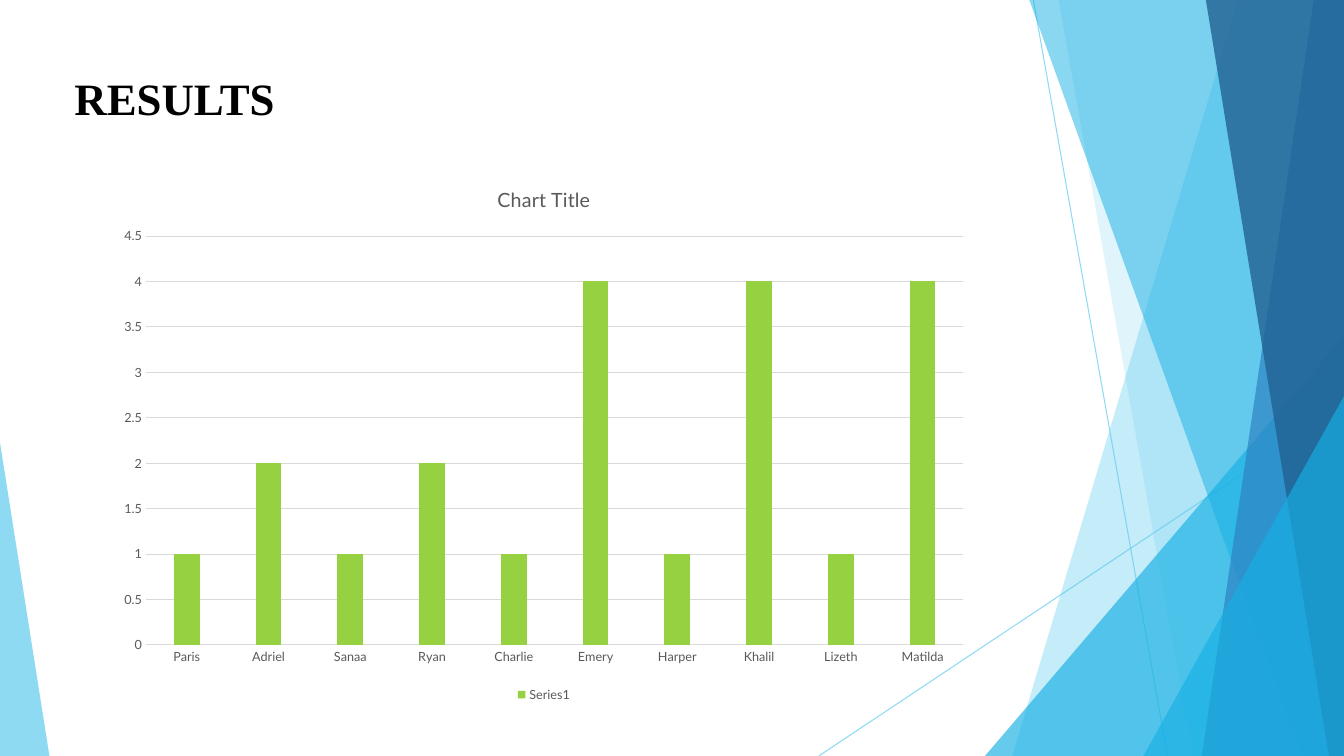
from dataclasses import dataclass

from lxml.etree import SubElement
from pptx import Presentation
from pptx.chart.data import CategoryChartData
from pptx.dml.color import RGBColor
from pptx.enum.chart import XL_CHART_TYPE, XL_LEGEND_POSITION, XL_TICK_MARK
from pptx.enum.shapes import MSO_CONNECTOR, MSO_SHAPE
from pptx.enum.text import MSO_AUTO_SIZE
from pptx.oxml.ns import qn
from pptx.util import Inches, Pt


@dataclass(frozen=True)
class Theme:
    """Colours, fonts and type sizes of the slide."""

    sky: str = "5FCBEF"
    azure: str = "17B0E4"
    blue: str = "2E83C3"
    navy: str = "226292"
    green: str = "96D141"
    ink: str = "000000"
    label: str = "595959"
    rule: str = "D9D9D9"
    heading_font: str = "Times New Roman"
    chart_font: str = "Lato"
    heading_size: int = 32
    chart_title_size: int = 14
    chart_size: int = 10
    label_size: int = 9
    line_width: float = 0.75


def apply_format(target, values):
    """Set each named attribute of the target."""
    for name, value in values.items():
        setattr(target, name, value)


class SlideBuilder:
    """Draws elements on a slide, with lengths in percent of its size."""

    def __init__(self, presentation, theme):
        """Add a blank slide to the presentation."""
        self.theme = theme
        self.width = presentation.slide_width
        self.height = presentation.slide_height
        self.slide = presentation.slides.add_slide(presentation.slide_layouts[6])
        self.shapes = self.slide.shapes

    def place(self, *shares):
        """Turn alternating horizontal and vertical shares into lengths."""
        sides = (self.width, self.height) * (len(shares) // 2)
        return [round(side * share / 100) for side, share in zip(sides, shares)]

    def style_font(self, font, size, color, name, bold=False):
        """Format a font."""
        apply_format(font, {"size": Pt(size), "name": name, "bold": bold})
        font.color.rgb = RGBColor.from_string(color)

    def style_line(self, line, color):
        """Format a thin line."""
        line.color.rgb = RGBColor.from_string(color)
        line.width = Pt(self.theme.line_width)

    def set_opacity(self, shape, opacity):
        """Make the coloured part of a shape see-through."""
        color = shape._element.spPr.find(".//" + qn("a:srgbClr"))
        SubElement(color, qn("a:alpha"), val=str(opacity * 1000))

    def fill_shape(self, shape, color, opacity):
        """Give a shape a flat translucent fill."""
        shape.shadow.inherit = False
        shape.fill.solid()
        shape.fill.fore_color.rgb = RGBColor.from_string(color)
        shape.line.fill.background()
        self.set_opacity(shape, opacity)

    def ray(self, *ends):
        """Draw a thin translucent line."""
        connector = self.shapes.add_connector(MSO_CONNECTOR.STRAIGHT, *self.place(*ends))
        self.style_line(connector.line, self.theme.sky)
        self.set_opacity(connector, 70)
        SubElement(connector._element.spPr, qn("a:effectLst"))

    def band(self, top, bottom, color, opacity):
        """Fill from a slanted edge to the right side of the slide."""
        corners = [(top, 0), (100, 0), (100, 100), (bottom, 100)]
        start, *others = [self.place(*corner) for corner in corners]
        builder = self.shapes.build_freeform(*start)
        builder.add_line_segments(others, close=True)
        self.fill_shape(builder.convert_to_shape(), color, opacity)

    def triangle(self, left, top, width, apex, color, opacity):
        """Draw a triangle standing on the bottom edge."""
        box = self.place(left, top, width, 100 - top)
        shape = self.shapes.add_shape(MSO_SHAPE.ISOSCELES_TRIANGLE, *box)
        shape.adjustments[0] = apex
        self.fill_shape(shape, color, opacity)

    def heading(self, text, *box):
        """Write the slide heading."""
        theme = self.theme
        frame = self.shapes.add_textbox(*self.place(*box)).text_frame
        apply_format(frame, {"word_wrap": True, "auto_size": MSO_AUTO_SIZE.SHAPE_TO_FIT_TEXT})
        run = frame.paragraphs[0].add_run()
        run.text = text
        self.style_font(run.font, theme.heading_size, theme.ink, theme.heading_font, True)

    def column_chart(self, title, series_name, scores, *box):
        """Draw a column chart of one series."""
        theme = self.theme
        data = CategoryChartData()
        data.categories = list(scores)
        data.add_series(series_name, list(scores.values()))
        frame = self.shapes.add_chart(XL_CHART_TYPE.COLUMN_CLUSTERED, *self.place(*box), data)
        chart = frame.chart
        self.style_font(chart.font, theme.chart_size, theme.ink, theme.chart_font)

        chart.has_title = True
        title_frame = chart.chart_title.text_frame
        title_frame.text = title
        title_font = title_frame.paragraphs[0].runs[0].font
        self.style_font(title_font, theme.chart_title_size, theme.label, theme.chart_font)

        chart.has_legend = True
        legend_format = {"position": XL_LEGEND_POSITION.BOTTOM, "include_in_layout": False}
        apply_format(chart.legend, legend_format)

        category_axis, value_axis = chart.category_axis, chart.value_axis
        tick_format = {"major_tick_mark": XL_TICK_MARK.NONE, "minor_tick_mark": XL_TICK_MARK.NONE}
        for axis in (category_axis, value_axis):
            apply_format(axis, tick_format)
        for font in (category_axis.tick_labels.font, value_axis.tick_labels.font, chart.legend.font):
            self.style_font(font, theme.label_size, theme.label, theme.chart_font)
        apply_format(value_axis, {"minimum_scale": 0, "maximum_scale": 4.5, "major_unit": 0.5})
        self.style_line(category_axis.format.line, theme.rule)
        self.style_line(value_axis.major_gridlines.format.line, theme.rule)
        value_axis.format.line.fill.background()

        plot = chart.plots[0]
        apply_format(plot, {"gap_width": 219, "overlap": -27, "vary_by_categories": False})
        fill = plot.series[0].format.fill
        fill.solid()
        fill.fore_color.rgb = RGBColor.from_string(theme.green)


def main():
    """Build and save the results slide."""
    presentation = Presentation()
    apply_format(presentation, {"slide_width": Inches(13.33), "slide_height": Inches(7.5)})
    theme = Theme()
    builder = SlideBuilder(presentation, theme)

    builder.ray(76.89, 0, 86.87, 100)
    builder.ray(100, 53.73, 60.92, 100)
    builder.band(92.12, 75.32, theme.sky, 36)
    builder.band(78.77, 88.75, theme.sky, 20)
    builder.triangle(73.29, 44.4, 26.71, 1, theme.azure, 66)
    builder.band(76.59, 96.85, theme.azure, 50)
    builder.band(97.75, 89.42, theme.blue, 70)
    builder.band(89.72, 98.87, theme.navy, 80)
    builder.triangle(85.07, 52.4, 14.93, 1, theme.azure, 66)
    builder.triangle(0, 58.53, 3.68, 0, theme.sky, 70)

    builder.heading("RESULTS", 4.8, 8.67, 56.94, 8.53)
    scores = {
        "Paris": 1, "Adriel": 2, "Sanaa": 1, "Ryan": 2, "Charlie": 1,
        "Emery": 4, "Harper": 1, "Khalil": 4, "Lizeth": 1, "Matilda": 4,
    }
    builder.column_chart("Chart Title", "Series1", scores, 7.95, 21.87, 65.04, 71.6)
    presentation.save("out.pptx")


if __name__ == "__main__":
    main()
